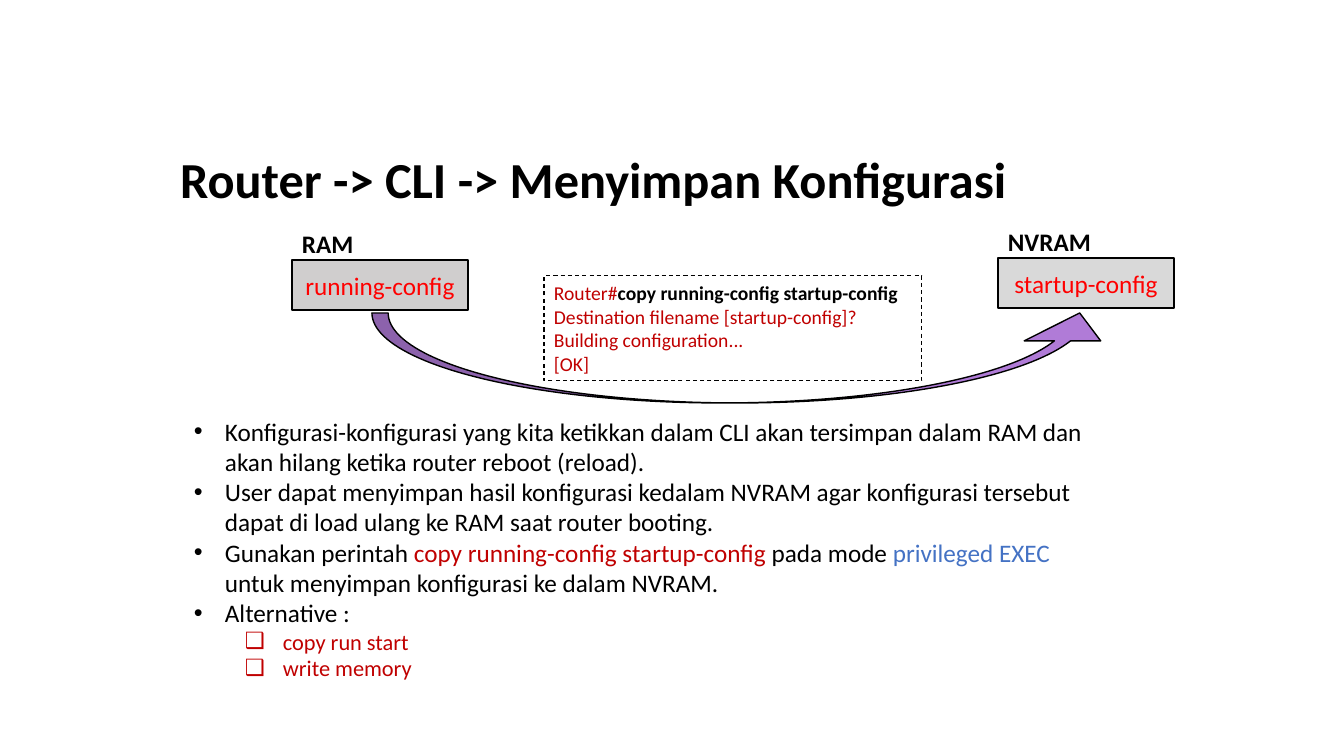
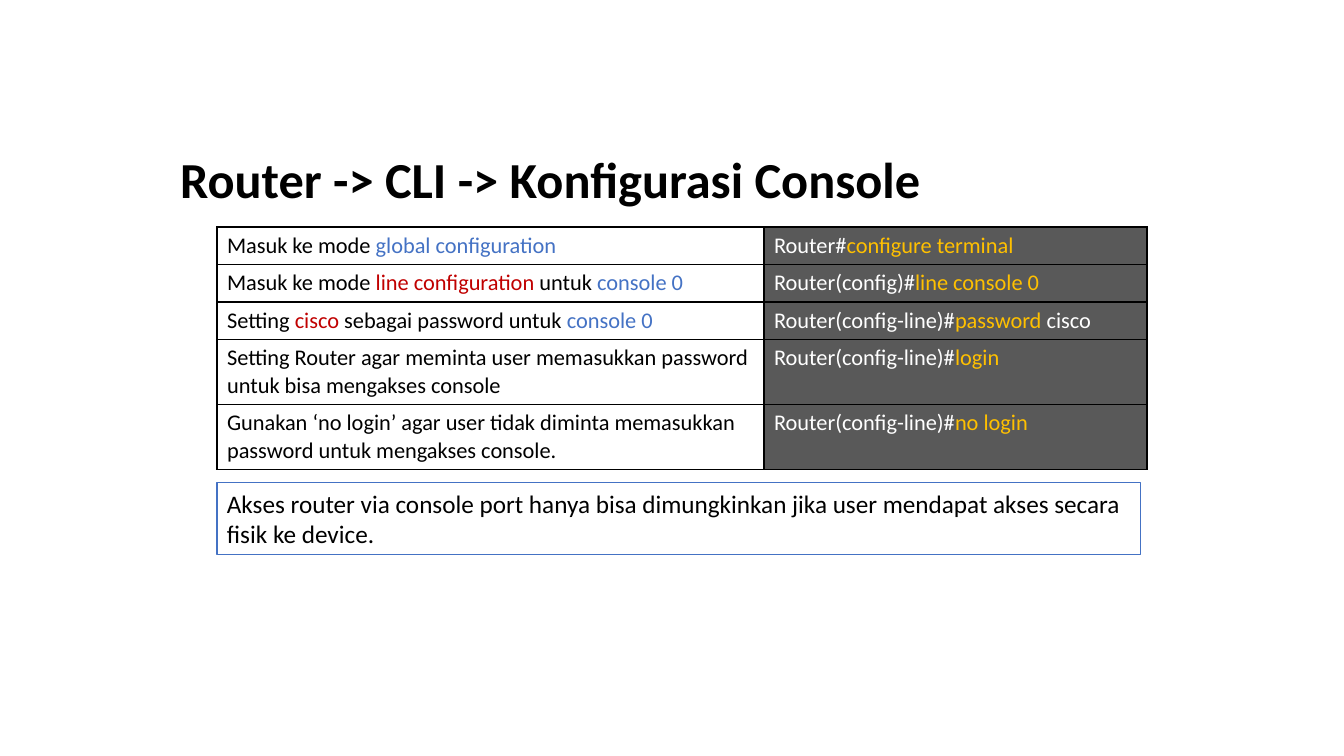
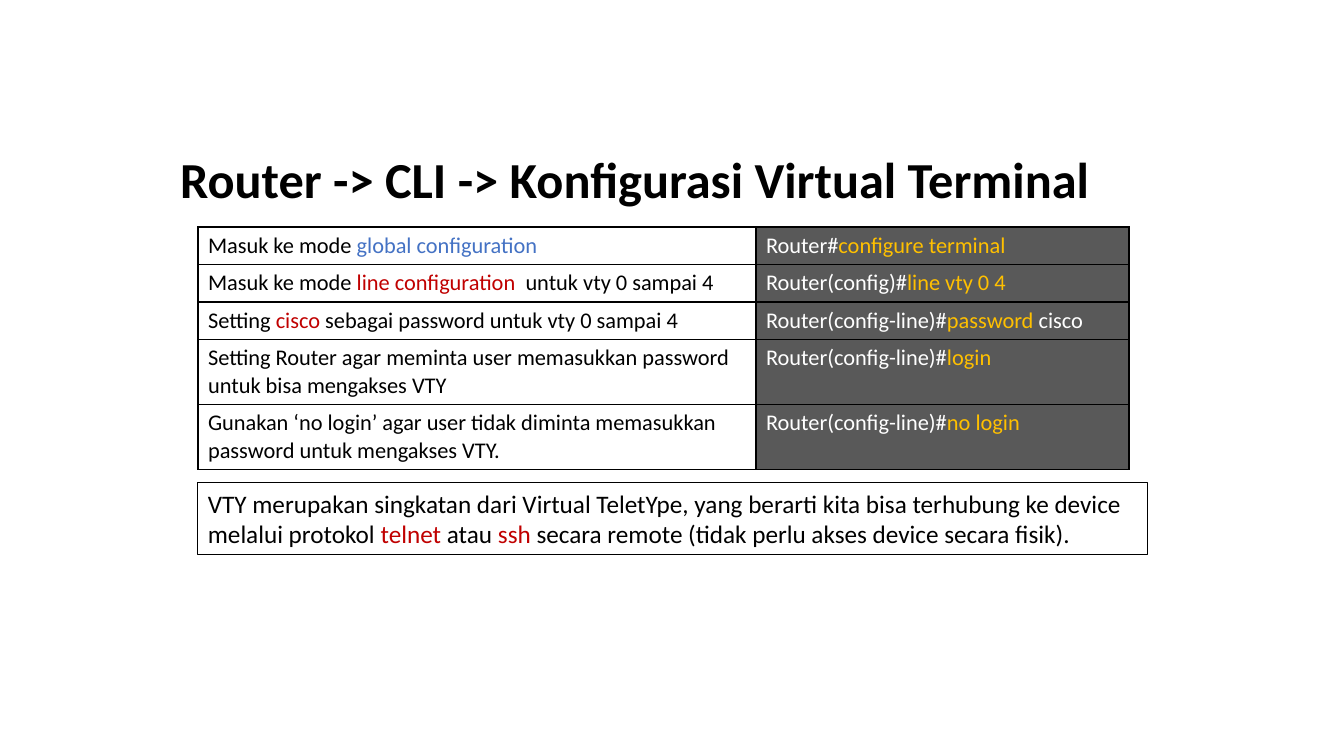
from lxml import etree
from pptx import Presentation
from pptx.dml.color import RGBColor
from pptx.enum.dml import MSO_LINE
from pptx.enum.shapes import MSO_SHAPE
from pptx.enum.text import MSO_ANCHOR, MSO_AUTO_SIZE, PP_ALIGN
from pptx.oxml.ns import qn
from pptx.util import Emu, Pt

RECTANGLE = MSO_SHAPE.RECTANGLE
CURVED_ARROW = MSO_SHAPE.CURVED_UP_ARROW
DASH = MSO_LINE.DASH
TOP, MIDDLE = MSO_ANCHOR.TOP, MSO_ANCHOR.MIDDLE
LEFT, CENTER = PP_ALIGN.LEFT, PP_ALIGN.CENTER
FIXED, GROW = MSO_AUTO_SIZE.NONE, MSO_AUTO_SIZE.SHAPE_TO_FIT_TEXT

BLACK = RGBColor(0x00, 0x00, 0x00)
WHITE = RGBColor(0xFF, 0xFF, 0xFF)
BLUE = RGBColor(0x44, 0x72, 0xC4)
DARK_RED = RGBColor(0xC0, 0x00, 0x00)
RED = RGBColor(0xFF, 0x00, 0x00)
GOLD = RGBColor(0xFF, 0xC0, 0x00)
PURPLE = RGBColor(0xB0, 0x7B, 0xD7)
RAM_GRAY = RGBColor(0xD0, 0xCE, 0xCE)
NVRAM_GRAY = RGBColor(0xD9, 0xD9, 0xD9)
DARK_GRAY = RGBColor(0x59, 0x59, 0x59)

SLIDE_WIDTH, SLIDE_HEIGHT = 1344, 756
EMU_PER_PX = 12192000 / SLIDE_WIDTH


def px(length):
    return Emu(round(length * EMU_PER_PX))


class Deck:
    """Holds the shared style and the slide being filled."""

    font = "Calibri"
    title_frame = (170, 137, 1075, 90)
    title_only = 5

    def __init__(self):
        self.presentation = Presentation()
        self.presentation.slide_width = px(SLIDE_WIDTH)
        self.presentation.slide_height = px(SLIDE_HEIGHT)
        self.slide = None

    def add_slide(self, title):
        layout = self.presentation.slide_layouts[self.title_only]
        self.slide = self.presentation.slides.add_slide(layout)
        shape = self.slide.shapes.title
        shape.left, shape.top, shape.width, shape.height = map(px, self.title_frame)
        frame = shape.text_frame
        frame.auto_size = FIXED
        frame.vertical_anchor = MIDDLE
        self.add_paragraphs(frame, [[(title, BLACK, True)]], 36)
        frame.paragraphs[0].line_spacing = 0.9

    def add_paragraphs(self, frame, paragraphs, size, align=LEFT):
        """Fill a frame with paragraphs, each a list of (text, colour, bold) runs."""
        for index, runs in enumerate(paragraphs):
            paragraph = frame.paragraphs[0] if index == 0 else frame.add_paragraph()
            self.add_runs(paragraph, runs, size, align)

    def add_runs(self, paragraph, runs, size, align=LEFT):
        paragraph.alignment = align
        for text, color, *bold in runs:
            run = paragraph.add_run()
            run.text = text
            run.font.name = self.font
            run.font.size = Pt(size)
            run.font.color.rgb = color
            run.font.bold = bool(bold and bold[0])

    def shape(self, kind, frame, fill=None, line=BLACK, weight=1, container=None):
        container = container or self.slide.shapes
        shape = container.add_shape(kind, *map(px, frame))
        shape.shadow.inherit = False
        if fill is None:
            shape.fill.background()
        else:
            shape.fill.solid()
            shape.fill.fore_color.rgb = fill
        shape.line.color.rgb = line
        shape.line.width = Pt(weight)
        return shape

    def note(self, frame, paragraphs, size=18, line=BLACK):
        """Outlined box with text starting at its top left."""
        shape = self.shape(RECTANGLE, frame, line=line, weight=0.75)
        text_frame = shape.text_frame
        text_frame.word_wrap = True
        text_frame.auto_size = GROW
        text_frame.vertical_anchor = TOP
        self.add_paragraphs(text_frame, paragraphs, size)
        return shape

    def memory(self, left, top, name, name_width, content, fill):
        """Memory block with its name above it, as one group."""
        group = self.slide.shapes.add_group_shape().shapes
        block = self.shape(RECTANGLE, (left, top, 176, 50), fill, container=group)
        block.text_frame.vertical_anchor = MIDDLE
        self.add_paragraphs(block.text_frame, [[(content, RED)]], 18, CENTER)
        label = group.add_textbox(*map(px, (left, top - 32, name_width, 30)))
        frame = label.text_frame
        frame.word_wrap = False
        frame.auto_size = GROW
        frame.margin_top = frame.margin_bottom = 0
        self.add_paragraphs(frame, [[(name, BLACK, True)]], 18)

    def bullets(self, frame, items):
        """Bulleted list; each item is (level, runs)."""
        styles = (("•", 31, 31, 18), ("❑", 89, 38, 16))
        text_frame = self.slide.shapes.add_textbox(*map(px, frame)).text_frame
        text_frame.word_wrap = True
        text_frame.auto_size = GROW
        for index, (level, runs) in enumerate(items):
            mark, margin, hanging, size = styles[level]
            paragraph = text_frame.paragraphs[0] if index == 0 else text_frame.add_paragraph()
            paragraph.level = level
            properties = paragraph._p.get_or_add_pPr()
            properties.set("marL", str(px(margin)))
            properties.set("indent", str(-px(hanging)))
            etree.SubElement(properties, qn("a:buFont"), typeface="Arial")
            etree.SubElement(properties, qn("a:buChar"), char=mark)
            self.add_runs(paragraph, runs, size)

    def command_table(self, left, top, widths, heights, rows):
        """Explanations on the left, router commands on dark cells."""
        frame = (left, top, sum(widths), sum(heights))
        shape = self.slide.shapes.add_table(len(rows), len(widths), *map(px, frame))
        table = shape.table
        table.first_row = table.horz_banding = False
        for column, width in zip(table.columns, widths):
            column.width = px(width)
        for row, height, contents in zip(table.rows, heights, rows):
            row.height = px(height)
            for cell, runs, fill in zip(row.cells, contents, (None, DARK_GRAY)):
                self.border(cell)
                if fill is None:
                    cell.fill.background()
                else:
                    cell.fill.solid()
                    cell.fill.fore_color.rgb = fill
                self.add_paragraphs(cell.text_frame, [runs], 16)

    def border(self, cell):
        properties = cell._tc.get_or_add_tcPr()
        for side in ("lnL", "lnR", "lnT", "lnB"):
            line = etree.SubElement(properties, qn("a:" + side), w=str(Pt(1)))
            fill = etree.SubElement(line, qn("a:solidFill"))
            etree.SubElement(fill, qn("a:srgbClr"), val=str(BLACK))


def login_rows(mode, target, line_command, access):
    """Table rows that put a password on one kind of router line."""
    prompt = ("Router(config-line)#", WHITE)
    return [
        ([("Masuk ke mode ", BLACK), ("global configuration", BLUE)],
         [("Router#", WHITE), ("configure terminal", GOLD)]),
        ([("Masuk ke mode ", BLACK), (mode, DARK_RED), ("untuk ", BLACK), target],
         [("Router(config)#", WHITE), (line_command, GOLD)]),
        ([("Setting ", BLACK), ("cisco ", DARK_RED),
          ("sebagai password untuk ", BLACK), target],
         [prompt, ("password ", GOLD), ("cisco", WHITE)]),
        ([("Setting Router agar meminta user memasukkan password "
           f"untuk bisa mengakses {access}", BLACK)],
         [prompt, ("login", GOLD)]),
        ([("Gunakan ‘no login’ agar user tidak diminta memasukkan password "
           f"untuk mengakses {access}.", BLACK)],
         [prompt, ("no login", GOLD)]),
    ]


def saving_slide(deck):
    deck.add_slide("Router -> CLI -> Menyimpan Konfigurasi")
    deck.memory(292, 260, "RAM", 73, "running-config", RAM_GRAY)
    deck.memory(998, 258, "NVRAM", 104, "startup-config", NVRAM_GRAY)
    arrow = deck.shape(CURVED_ARROW, (372, 313, 746, 90), PURPLE)
    for index, value in enumerate((0.18, 0.85, 0.31)):
        arrow.adjustments[index] = value
    deck.bullets((184, 411, 932, 278), [
        (0, [("Konfigurasi-konfigurasi yang kita ketikkan dalam CLI akan tersimpan "
              "dalam RAM dan akan hilang ketika router reboot (reload).", BLACK)]),
        (0, [("User dapat menyimpan hasil konfigurasi kedalam NVRAM agar konfigurasi "
              "tersebut dapat di load ulang ke RAM saat router booting.", BLACK)]),
        (0, [("Gunakan perintah ", BLACK),
             ("copy running-config startup-config ", DARK_RED),
             ("pada mode ", BLACK), ("privileged EXEC ", BLUE),
             ("untuk menyimpan konfigurasi ke dalam NVRAM.", BLACK)]),
        (0, [("Alternative :", BLACK)]),
        (1, [("copy run start", DARK_RED)]),
        (1, [("write memory", DARK_RED)]),
    ])
    session = deck.note((544, 276, 378, 105), [
        [("Router#", DARK_RED), ("copy running-config startup-config", BLACK, True)],
        [("Destination filename [startup-config]?", DARK_RED)],
        [("Building configuration...", DARK_RED)],
        [("[OK]", DARK_RED)],
    ], size=14)
    session.line.dash_style = DASH


def main():
    deck = Deck()
    saving_slide(deck)
    table_top, note_top, note_height = 227, 483, 72
    row_heights = (37, 37, 37, 65, 65)

    deck.add_slide("Router -> CLI -> Konfigurasi Console")
    deck.command_table(217, table_top, (547, 383), row_heights, login_rows(
        "line configuration ", ("console 0", BLUE), "line console 0", "console"))
    deck.note((217, note_top, 924, note_height), [
        [("Akses router via console port hanya bisa dimungkinkan jika user "
          "mendapat akses secara fisik ke device.", BLACK)],
    ], line=BLUE)

    deck.add_slide("Router -> CLI -> Konfigurasi Virtual Terminal")
    deck.command_table(198, table_top, (558, 373), row_heights, login_rows(
        "line configuration  ", ("vty 0 sampai 4", BLACK), "line vty 0 4", "VTY"))
    deck.note((198, note_top, 950, note_height), [
        [("VTY merupakan singkatan dari Virtual TeletYpe, yang berarti kita bisa "
          "terhubung ke device melalui protokol ", BLACK),
         ("telnet ", DARK_RED), ("atau ", BLACK), ("ssh ", DARK_RED),
         ("secara remote (tidak perlu akses device secara fisik).", BLACK)],
    ])
    deck.presentation.save("out.pptx")


if __name__ == "__main__":
    main()
